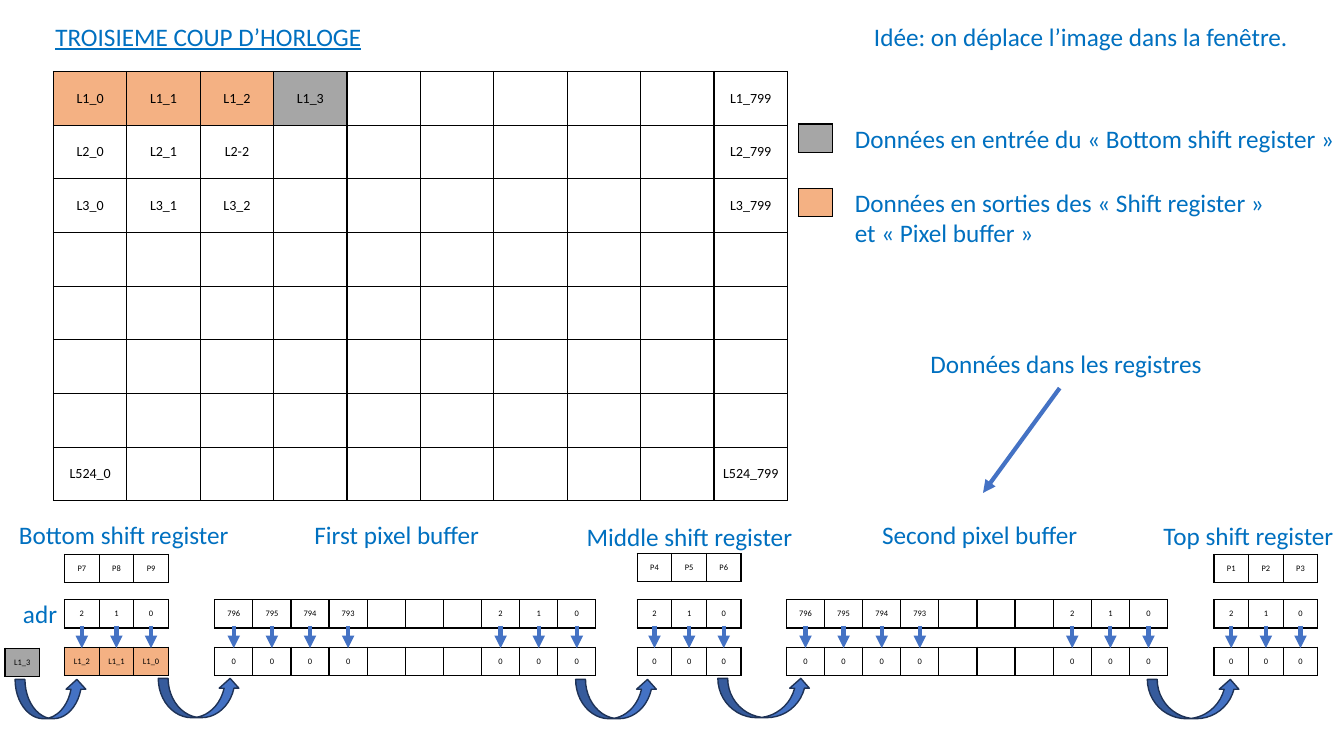
from lxml import etree
from pptx import Presentation
from pptx.dml.color import RGBColor
from pptx.enum.shapes import MSO_CONNECTOR, MSO_SHAPE
from pptx.enum.text import MSO_ANCHOR, PP_ALIGN
from pptx.oxml.ns import qn
from pptx.util import Inches, Pt

STRAIGHT = MSO_CONNECTOR.STRAIGHT
CURVED = MSO_SHAPE.CURVED_UP_ARROW
MIDDLE = MSO_ANCHOR.MIDDLE
CENTER = PP_ALIGN.CENTER

COLORS = {
    "text": "0070C0", "ink": "000000", "arrow": "4472C4",
    "edge": "1E3256", "input": "A6A6A6", "output": "F4B183",
}
UNIT_W, UNIT_H = 0.34, 0.28
TRIO_W, BUFFER_W = 1.03, 3.78
ADR_TOP, DATA_TOP = 5.95, 6.42
TRIO = ["2", "1", "0"]
BUFFER = ["796", "795", "794", "793", "", "", "", *TRIO]
BLANKS = [""] * 6

REGISTERS = [
    (0.64, TRIO_W, TRIO, ["L1_2", "L1_1", "L1_0"], ["output"] * 3),
    (2.13, BUFFER_W, BUFFER, None, []),
    (6.32, TRIO_W, TRIO, None, []),
    (7.8, BUFFER_W, BUFFER, None, []),
    (12.04, TRIO_W, TRIO, None, []),
]
PIXELS = [
    (0.64, 5.5, ["P7", "P8", "P9"]),
    (6.32, 5.49, ["P4", "P5", "P6"]),
    (12.04, 5.5, ["P1", "P2", "P3"]),
]
IMAGE = [
    ["L1_0", "L1_1", "L1_2", "L1_3", *BLANKS[1:], "L1_799"],
    ["L2_0", "L2_1", "L2-2", *BLANKS, "L2_799"],
    ["L3_0", "L3_1", "L3_2", *BLANKS, "L3_799"],
    *[[""] * 10 for row in range(4)],
    ["L524_0", *BLANKS, "", "", "L524_799"],
]
LABELS = [
    (8.57, 0.16, 4.36, "Idée: on déplace l’image dans la fenêtre."),
    (8.38, 1.17, 5.03, "Données en entrée du « Bottom shift register »"),
    (9.13, 3.41, 2.93, "Données dans les registres"),
    (0.09, 5.1, 2.37, "Bottom shift register"),
    (3.02, 5.1, 1.91, "First pixel buffer"),
    (5.72, 5.12, 2.33, "Middle shift register"),
    (8.65, 5.1, 2.22, "Second pixel buffer"),
    (11.44, 5.11, 1.97, "Top shift register"),
    (0.13, 5.89, 0.54, "adr"),
]
CURVES = [
    (0.15, 6.74, 0.71), (1.57, 6.73, 0.81), (5.71, 6.74, 0.81),
    (7.12, 6.73, 0.92), (11.38, 6.74, 0.92),
]


def color(name):
    return RGBColor.from_string(COLORS[name])


def style(font, size, tint, **extra):
    font.color.rgb = color(tint)
    for key, value in {"name": "Calibri", "size": Pt(size), **extra}.items():
        setattr(font, key, value)


def add_text(slide, left, top, width, *lines, height=0.4, wrap=False, **extra):
    box = slide.shapes.add_textbox(
        Inches(left), Inches(top), Inches(width), Inches(height))
    frame = box.text_frame
    frame.word_wrap = wrap
    frame.text = "\n".join(lines)
    for para in frame.paragraphs:
        style(para.runs[0].font, 18, "text", **extra)


def add_border(cell):
    props = cell._tc.get_or_add_tcPr()
    for side in ("a:lnL", "a:lnR", "a:lnT", "a:lnB"):
        line = etree.SubElement(props, qn(side), w=str(Pt(1)))
        fill = etree.SubElement(line, qn("a:solidFill"))
        etree.SubElement(fill, qn("a:srgbClr"), val=COLORS["ink"])


def fill_cell(cell, text, size, tint, pad):
    add_border(cell)
    if tint:
        cell.fill.solid()
        cell.fill.fore_color.rgb = color(tint)
    else:
        cell.fill.background()
    form = {
        "vertical_anchor": MIDDLE,
        "margin_left": Inches(pad), "margin_right": Inches(pad),
        "margin_top": Inches(pad / 2), "margin_bottom": Inches(pad / 2),
    }
    for key, value in form.items():
        setattr(cell, key, value)
    para = cell.text_frame.paragraphs[0]
    para.alignment = CENTER
    if text:
        run = para.add_run()
        run.text = text
        style(run.font, size, "ink")
    else:
        etree.SubElement(para._p, qn("a:endParaRPr"), sz=str(size * 100))


def add_grid(slide, left, top, width, rows, tints=(), height=UNIT_H,
             size=6, pad=0.04):
    count = len(rows[0])
    table = slide.shapes.add_table(
        len(rows), count, Inches(left), Inches(top),
        Inches(width), Inches(height)).table
    table.first_row = table.horz_banding = False
    for col in table.columns:
        col.width = Inches(width / count)
    for r, row in enumerate(rows):
        table.rows[r].height = Inches(height / len(rows))
        for c, text in enumerate(row):
            tint = tints[c] if r == 0 and c < len(tints) else None
            fill_cell(table.cell(r, c), text, size, tint, pad)


def add_arrow(slide, x1, y1, x2, y2):
    arrow = slide.shapes.add_connector(
        STRAIGHT, Inches(x1), Inches(y1), Inches(x2), Inches(y2))
    arrow.line.width = Pt(3)
    arrow.line.color.rgb = color("arrow")
    line = arrow.line._get_or_add_ln()
    etree.SubElement(line, qn("a:tailEnd"), type="triangle")
    etree.SubElement(arrow._element.spPr, qn("a:effectLst"))


def add_curve(slide, left, top, width):
    curve = slide.shapes.add_shape(
        CURVED, Inches(left), Inches(top), Inches(width), Inches(0.39))
    curve.shadow.inherit = False
    curve.fill.solid()
    curve.fill.fore_color.rgb = color("arrow")
    curve.line.color.rgb = color("edge")
    curve.line.width = Pt(1)


def add_register(slide, left, width, adrs, data, tints):
    data = data or ["0" if adr else "" for adr in adrs]
    add_grid(slide, left, ADR_TOP, width, [adrs])
    add_grid(slide, left, DATA_TOP, width, [data], tints)
    step = width / len(adrs)
    for i, adr in enumerate(adrs):
        if adr:
            x = left + (i + 0.5) * step
            add_arrow(slide, x, 6.21, x, 6.43)


def main():
    deck = Presentation()
    deck.slide_width, deck.slide_height = Inches(13.33), Inches(7.5)
    slide = deck.slides.add_slide(deck.slide_layouts[6])
    add_text(slide, 0.45, 0.16, 3.27, "TROISIEME COUP D’HORLOGE",
             underline=True)
    add_grid(slide, 0.53, 0.71, 7.28, IMAGE, ["output"] * 3 + ["input"],
             height=4.26, size=10, pad=0.08)
    for label in LABELS:
        add_text(slide, *label)
    add_text(slide, 8.38, 1.81, 4.6, "Données en sorties des « Shift register »",
             "et « Pixel buffer »", height=0.71, wrap=True)
    for top, tint in ((1.23, "input"), (1.87, "output")):
        add_grid(slide, 7.92, top, UNIT_W, [[""]], [tint])
    add_arrow(slide, 10.51, 3.85, 9.75, 4.89)
    for left, top, names in PIXELS:
        add_grid(slide, left, top, TRIO_W, [names])
    for register in REGISTERS:
        add_register(slide, *register)
    add_grid(slide, 0.05, 6.43, UNIT_W, [["L1_3"]], ["input"])
    for curve in CURVES:
        add_curve(slide, *curve)
    deck.save("out.pptx")


if __name__ == "__main__":
    main()
